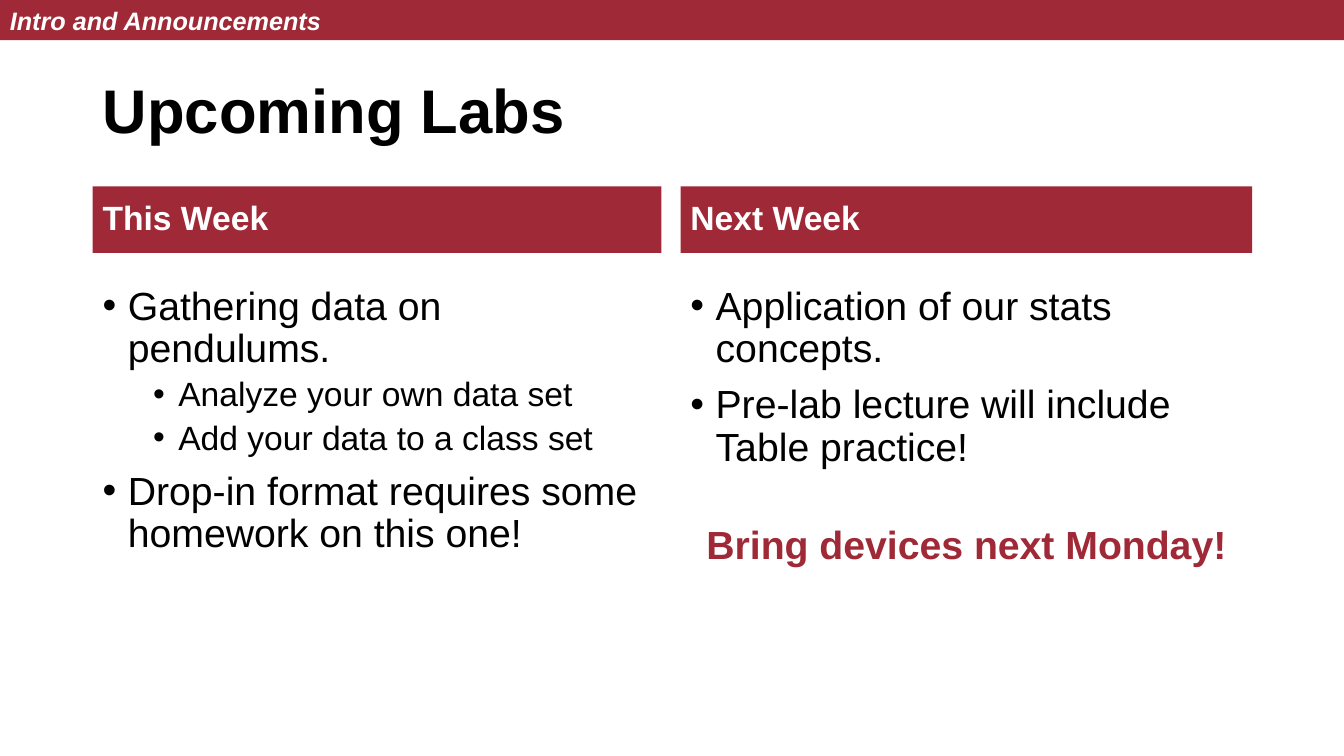
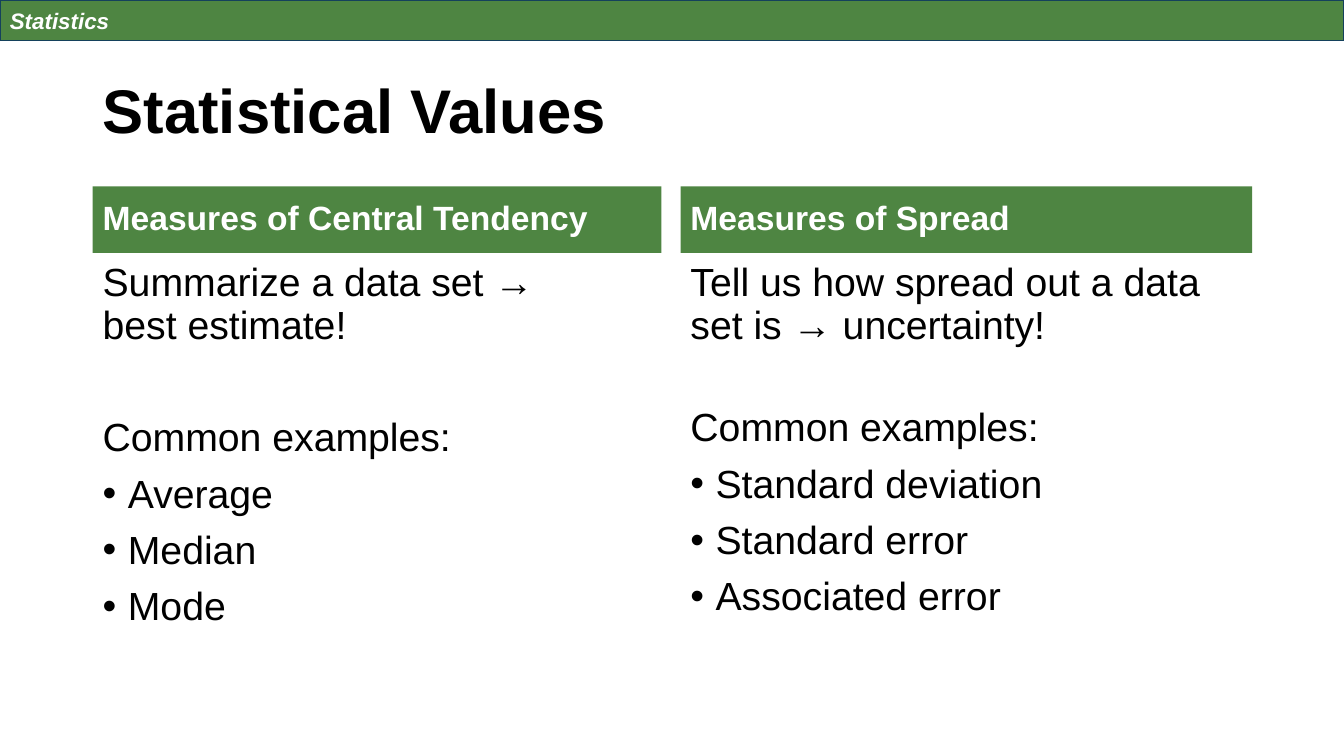
"""Build two lab-course slides that compare topics in two columns."""
from dataclasses import dataclass

from lxml import etree
from pptx import Presentation
from pptx.dml.color import RGBColor
from pptx.enum.shapes import MSO_SHAPE
from pptx.enum.text import MSO_ANCHOR, PP_ALIGN
from pptx.oxml.ns import qn
from pptx.util import Inches, Pt

RECTANGLE = MSO_SHAPE.RECTANGLE
TOP, MIDDLE = MSO_ANCHOR.TOP, MSO_ANCHOR.MIDDLE
LEFT, CENTER = PP_ALIGN.LEFT, PP_ALIGN.CENTER


@dataclass(frozen=True)
class Theme:
    """Colours, font and type sizes shared by the slides."""

    red: str = "9F2936"
    green: str = "4E8542"
    navy: str = "14415C"
    black: str = "000000"
    white: str = "FFFFFF"
    font: str = "Arial"
    title: int = 44
    body: int = 28
    detail: int = 24
    heading: int = 24


THEME = Theme()
SLIDE_WIDTH, SLIDE_HEIGHT = 13.33, 7.5
BAND_HEIGHT = 0.4
TITLE_BOX = (0.92, 0.4, 11.5, 1.45)
COLUMNS = ((0.92, 5.64), (6.75, 5.67))
HEADING_TOP, HEADING_HEIGHT = 1.85, 0.66
BODY_BOTTOM = 7.1
HANGING = 0.25


def add_bullet(paragraph, indent):
    """Give a paragraph a hanging round bullet."""
    properties = paragraph._p.get_or_add_pPr()
    properties.set("marL", str(Inches(indent)))
    properties.set("indent", str(-Inches(HANGING)))
    etree.SubElement(properties, qn("a:buFont"), typeface=THEME.font)
    etree.SubElement(properties, qn("a:buChar"), char="•")


def write(frame, text, size=THEME.body, color=THEME.black, bold=False, italic=False,
          align=LEFT, before=10, spacing=0.9, indent=None):
    """Write one formatted paragraph at the end of a text frame."""
    is_first = not frame.text
    paragraph = frame.paragraphs[0] if is_first else frame.add_paragraph()
    paragraph.text = text
    paragraph.alignment = align
    paragraph.line_spacing = spacing
    paragraph.space_before = Pt(0 if is_first else before)
    if indent is not None:
        add_bullet(paragraph, indent)
    for run in paragraph.runs:
        run.font.name = THEME.font
        run.font.size = Pt(size)
        run.font.bold = bold
        run.font.italic = italic
        run.font.color.rgb = RGBColor.from_string(color)


def prepare_frame(shape, anchor):
    """Return the wrapped text frame of a shape."""
    frame = shape.text_frame
    frame.word_wrap = True
    frame.vertical_anchor = anchor
    return frame


def add_text_area(slide, box, anchor=TOP):
    """Add a text box and return its frame."""
    return prepare_frame(slide.shapes.add_textbox(*map(Inches, box)), anchor)


def add_bar(slide, box, fill, text, outline=None, **text_format):
    """Add a filled bar with white bold text."""
    bar = slide.shapes.add_shape(RECTANGLE, *map(Inches, box))
    bar.shadow.inherit = False
    bar.fill.solid()
    bar.fill.fore_color.rgb = RGBColor.from_string(fill)
    if outline:
        bar.line.color.rgb = RGBColor.from_string(outline)
        bar.line.width = Pt(1)
    else:
        bar.line.fill.background()
    write(prepare_frame(bar, MIDDLE), text, color=THEME.white, bold=True, **text_format)


def add_column(slide, span, accent, heading, body_top, items):
    """Add a heading bar with its body paragraphs below."""
    left, width = span
    add_bar(slide, (left, HEADING_TOP, width, HEADING_HEIGHT), accent, heading,
            size=THEME.heading)
    body = add_text_area(slide, (left, body_top, width, BODY_BOTTOM - body_top))
    body.margin_top = Inches(0.1)
    for text, text_format in items:
        write(body, text, **text_format)


def add_comparison(presentation, section, title, accent, body_top, columns,
                   section_size, outline=None):
    """Add a slide with a section band, a title and two columns."""
    slide = presentation.slides.add_slide(presentation.slide_layouts[6])
    write(add_text_area(slide, TITLE_BOX, MIDDLE), title, size=THEME.title, bold=True)
    for span, (heading, items) in zip(COLUMNS, columns):
        add_column(slide, span, accent, heading, body_top, items)
    add_bar(slide, (0, 0, SLIDE_WIDTH, BAND_HEIGHT), accent, section, outline,
            size=section_size, italic=True, spacing=1.0)


def main():
    """Build and save the presentation."""
    presentation = Presentation()
    presentation.slide_width = Inches(SLIDE_WIDTH)
    presentation.slide_height = Inches(SLIDE_HEIGHT)

    point = {"indent": HANGING}
    detail = {"indent": 0.75, "size": THEME.detail, "before": 5}
    reminder = {"align": CENTER, "color": THEME.red, "bold": True, "before": 40}

    add_comparison(
        presentation, "Intro and Announcements", "Upcoming Labs", THEME.red, 2.74,
        (("This Week", (
            ("Gathering data on pendulums.", point),
            ("Analyze your own data set", detail),
            ("Add your data to a class set", detail),
            ("Drop-in format requires some homework on this one!", point))),
         ("Next Week", (
             ("Application of our stats concepts.", point),
             ("Pre-lab lecture will include Table practice!", point),
             ("Bring devices next Monday!", reminder)))),
        section_size=18)

    add_comparison(
        presentation, "Statistics", "Statistical Values", THEME.green, 2.51,
        (("Measures of Central Tendency", (
            ("Summarize a data set →\vbest estimate!", {}),
            ("Common examples:", {"before": 50}),
            ("Average", point),
            ("Median", point),
            ("Mode", point))),
         ("Measures of Spread", (
             ("Tell us how spread out a data set is → uncertainty!", {}),
             ("Common examples:", {"before": 43}),
             ("Standard deviation", point),
             ("Standard error", point),
             ("Associated error", point)))),
        section_size=16, outline=THEME.navy)

    presentation.save("out.pptx")


if __name__ == "__main__":
    main()
